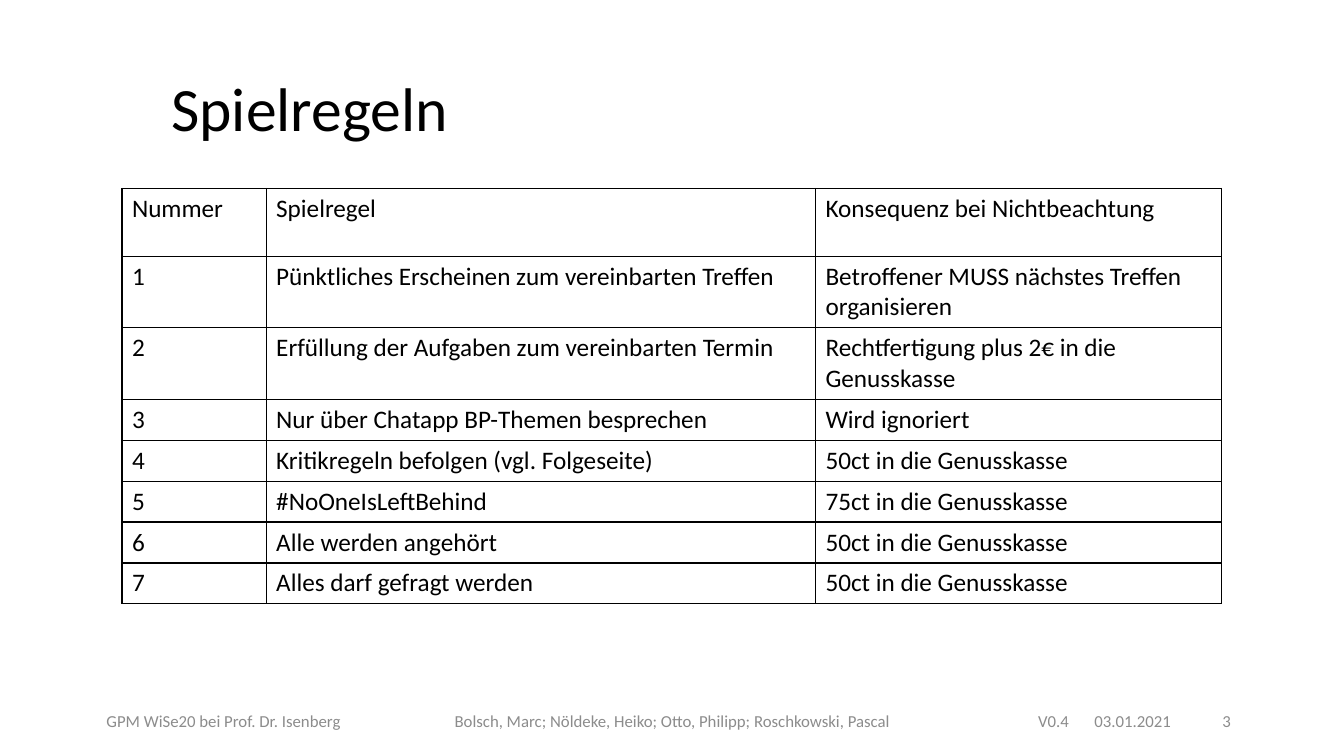
from lxml.etree import SubElement
from pptx import Presentation
from pptx.dml.color import RGBColor
from pptx.enum.text import MSO_ANCHOR, MSO_AUTO_SIZE, PP_ALIGN
from pptx.oxml.ns import qn
from pptx.util import Pt

BLACK = RGBColor(0x00, 0x00, 0x00)
GREY = RGBColor(0x8C, 0x8C, 0x8C)
FONT = "Calibri"


def write(frame, text, size, color, align=PP_ALIGN.LEFT):
    para = frame.paragraphs[0]
    para.alignment = align
    span = para.add_run()
    span.text = text
    span.font.name = FONT
    span.font.size = Pt(size)
    span.font.color.rgb = color


def add_borders(cell):
    properties = cell._tc.get_or_add_tcPr()
    for position, side in enumerate(("lnL", "lnR", "lnT", "lnB")):
        line = SubElement(properties, qn(f"a:{side}"), w=str(Pt(1)))
        fill = SubElement(line, qn("a:solidFill"))
        SubElement(fill, qn("a:srgbClr"), val=str(BLACK))
        properties.insert(position, line)  # borders come before the cell fill


deck = Presentation()
deck.slide_width, deck.slide_height = Pt(960), Pt(540)
page = deck.slides.add_slide(deck.slide_layouts[5])

# Title
title = page.shapes.title
title.left, title.top, title.width, title.height = Pt(115.2), Pt(46), Pt(214), Pt(60.5)
title.text_frame.word_wrap = False
title.text_frame.auto_size = MSO_AUTO_SIZE.NONE
title.text_frame.vertical_anchor = MSO_ANCHOR.TOP
write(title.text_frame, "Spielregeln", 44, BLACK)

# Table of rules
rules = [
    ("Nummer", "Spielregel", "Konsequenz bei Nichtbeachtung"),
    ("1", "Pünktliches Erscheinen zum vereinbarten Treffen",
     "Betroffener MUSS nächstes Treffen organisieren"),
    ("2", "Erfüllung der Aufgaben zum vereinbarten Termin",
     "Rechtfertigung plus 2€ in die Genusskasse"),
    ("3", "Nur über Chatapp BP-Themen besprechen", "Wird ignoriert"),
    ("4", "Kritikregeln befolgen (vgl. Folgeseite)", "50ct in die Genusskasse"),
    ("5", "#NoOneIsLeftBehind", "75ct in die Genusskasse"),
    ("6", "Alle werden angehört", "50ct in die Genusskasse"),
    ("7", "Alles darf gefragt werden", "50ct in die Genusskasse"),
]
column_widths = [103, 392.4, 290]
row_heights = [48.4] + [50.4] * 2 + [28.8] * 5
table = page.shapes.add_table(
    len(rules), len(column_widths), Pt(87.1), Pt(134.6),
    Pt(sum(column_widths)), Pt(sum(row_heights))).table
table.first_row = False
table.horz_banding = False
for column, width in zip(table.columns, column_widths):
    column.width = Pt(width)
for row, height, texts in zip(table.rows, row_heights, rules):
    row.height = Pt(height)
    for cell, text in zip(row.cells, texts):
        cell.fill.background()
        add_borders(cell)
        write(cell.text_frame, text, 18, BLACK)

# Footer: text, left, top, width, height, alignment, anchor
footers = [
    ("GPM WiSe20 bei Prof. Dr. Isenberg", 66.2, 500.4, 187.2, 28.8,
     PP_ALIGN.CENTER, MSO_ANCHOR.MIDDLE),
    ("Bolsch, Marc; Nöldeke, Heiko; Otto, Philipp; Roschkowski, Pascal",
     305.3, 500.4, 350, 28.8, PP_ALIGN.CENTER, MSO_ANCHOR.MIDDLE),
    ("V0.4", 734.4, 504, 36.7, 21.8, PP_ALIGN.LEFT, MSO_ANCHOR.TOP),
    ("03.01.2021", 774.7, 500.4, 141.8, 28.8, PP_ALIGN.LEFT, MSO_ANCHOR.MIDDLE),
    ("3", 670.3, 500.4, 216, 28.8, PP_ALIGN.RIGHT, MSO_ANCHOR.MIDDLE),
]
for text, left, top, width, height, align, anchor in footers:
    box = page.shapes.add_textbox(Pt(left), Pt(top), Pt(width), Pt(height))
    box.text_frame.word_wrap = text != "V0.4"
    box.text_frame.vertical_anchor = anchor
    write(box.text_frame, text, 12, GREY, align)

deck.save("out.pptx")
